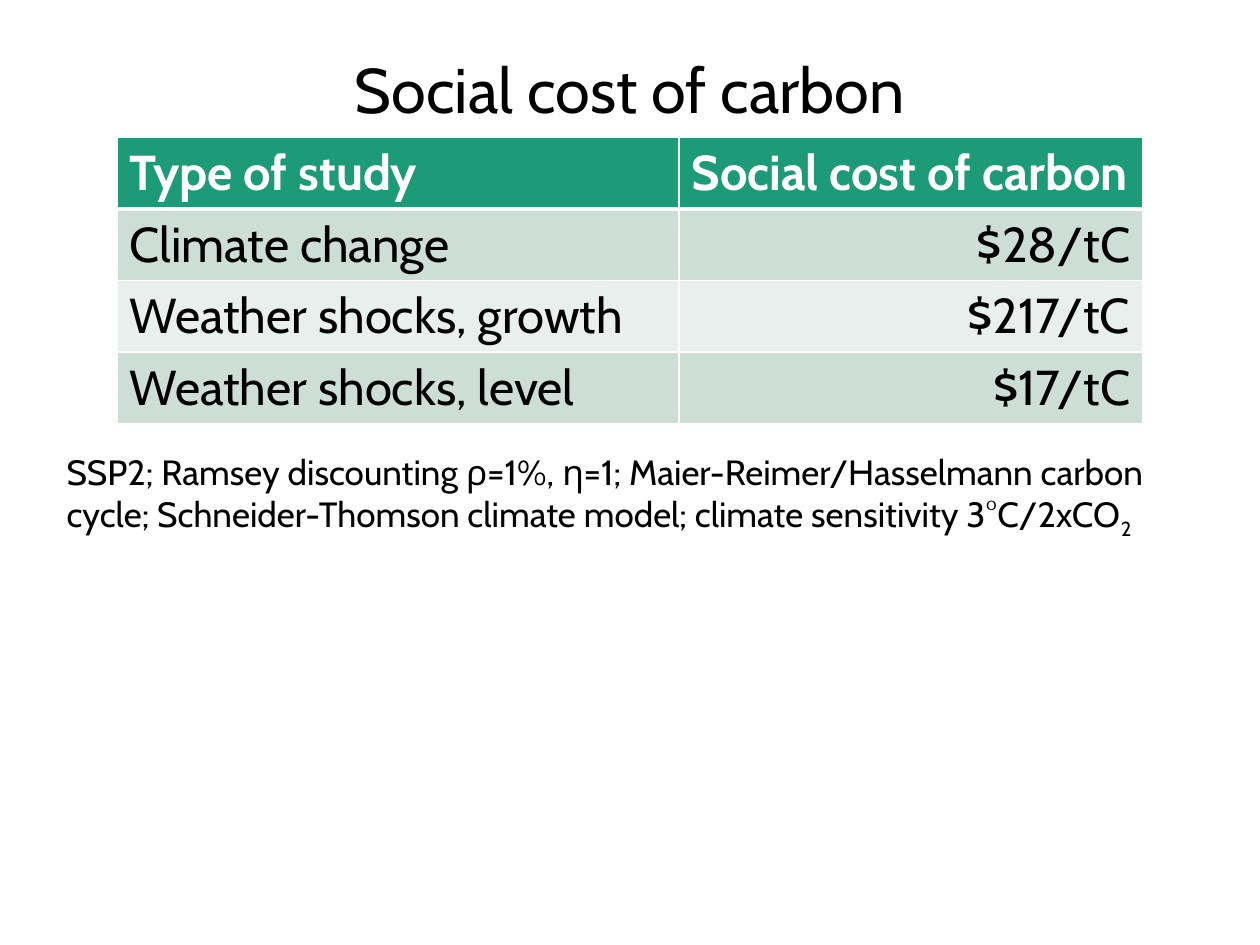
from pptx import Presentation
from pptx.dml.color import RGBColor
from pptx.enum.text import MSO_ANCHOR, PP_ALIGN
from pptx.oxml.xmlchemy import OxmlElement
from pptx.util import Inches, Pt

FONT = "Cabin"
COLORS = {"text": "000000", "white": "FFFFFF", "header": "1D9A78",
          "odd": "CDDED6", "even": "E8EFEC"}
STUDIES = [
    ("Type of study", "Social cost of carbon"),
    ("Climate change", "$28/tC"),
    ("Weather shocks, growth", "$217/tC"),
    ("Weather shocks, level", "$17/tC"),
]
COLUMN_WIDTHS = (4.46, 3.68)
NOTE = ("SSP2; Ramsey discounting ρ=1%, η=1; Maier-Reimer/Hasselmann carbon "
        "cycle; Schneider-Thomson climate model; climate sensitivity 3°C/2xCO")


def add_run(p, text, size=28, color="text", bold=False, baseline=None):
    r = p.add_run()
    r.text = text
    r.font.name = FONT
    r.font.size = Pt(size)
    r.font.bold = bold
    r.font.color.rgb = RGBColor.from_string(COLORS[color])
    if baseline is not None:
        r.font._element.set("baseline", str(baseline * 1000))


def add_text_frame(slide, left, top, width, height):
    box = slide.shapes.add_textbox(Inches(left), Inches(top),
                                   Inches(width), Inches(height))
    tf = box.text_frame
    tf.word_wrap = True
    return tf


def set_borders(cell, bottom=1):
    """Draw white cell borders, with a chosen width in points at the bottom."""
    tc_pr = cell._tc.get_or_add_tcPr()
    widths = {"lnL": 1, "lnR": 1, "lnT": 1, "lnB": bottom}
    for i, (tag, width) in enumerate(widths.items()):
        ln = OxmlElement(f"a:{tag}")
        ln.set("w", str(Pt(width)))
        fill = OxmlElement("a:solidFill")
        color = OxmlElement("a:srgbClr")
        color.set("val", COLORS["white"])
        fill.append(color)
        ln.append(fill)
        tc_pr.insert(i, ln)


def add_title(slide, left, top, width, height):
    tf = add_text_frame(slide, left, top, width, height)
    tf.vertical_anchor = MSO_ANCHOR.MIDDLE
    p = tf.paragraphs[0]
    p.alignment = PP_ALIGN.CENTER
    p.line_spacing = 0.9
    add_run(p, "Social cost of carbon", size=36)


def add_cost_table(slide, left, top, width, height):
    table = slide.shapes.add_table(len(STUDIES), len(COLUMN_WIDTHS), Inches(left),
                                   Inches(top), Inches(width), Inches(height)).table
    for column, column_width in zip(table.columns, COLUMN_WIDTHS):
        column.width = Inches(column_width)
    for i, study in enumerate(STUDIES):
        header = i == 0
        fill = "header" if header else "odd" if i % 2 else "even"
        for j, text in enumerate(study):
            cell = table.cell(i, j)
            cell.fill.solid()
            cell.fill.fore_color.rgb = RGBColor.from_string(COLORS[fill])
            set_borders(cell, bottom=3 if header else 1)
            p = cell.text_frame.paragraphs[0]
            if j and not header:
                p.alignment = PP_ALIGN.RIGHT
            add_run(p, text, color="white" if header else "text", bold=header)


def add_note(slide, left, top, width, height):
    p = add_text_frame(slide, left, top, width, height).paragraphs[0]
    add_run(p, NOTE, size=20)
    add_run(p, "2", size=20, baseline=-25)


def main():
    prs = Presentation()
    prs.slide_width, prs.slide_height = Inches(10), Inches(7.5)
    slide = prs.slides.add_slide(prs.slide_layouts[6])
    add_title(slide, 0, 0.01, 10, 1.46)
    add_note(slide, 0.43, 3.53, 9.14, 0.8)
    add_cost_table(slide, 0.93, 1.09, sum(COLUMN_WIDTHS), 2.27)
    prs.save("out.pptx")


if __name__ == "__main__":
    main()
